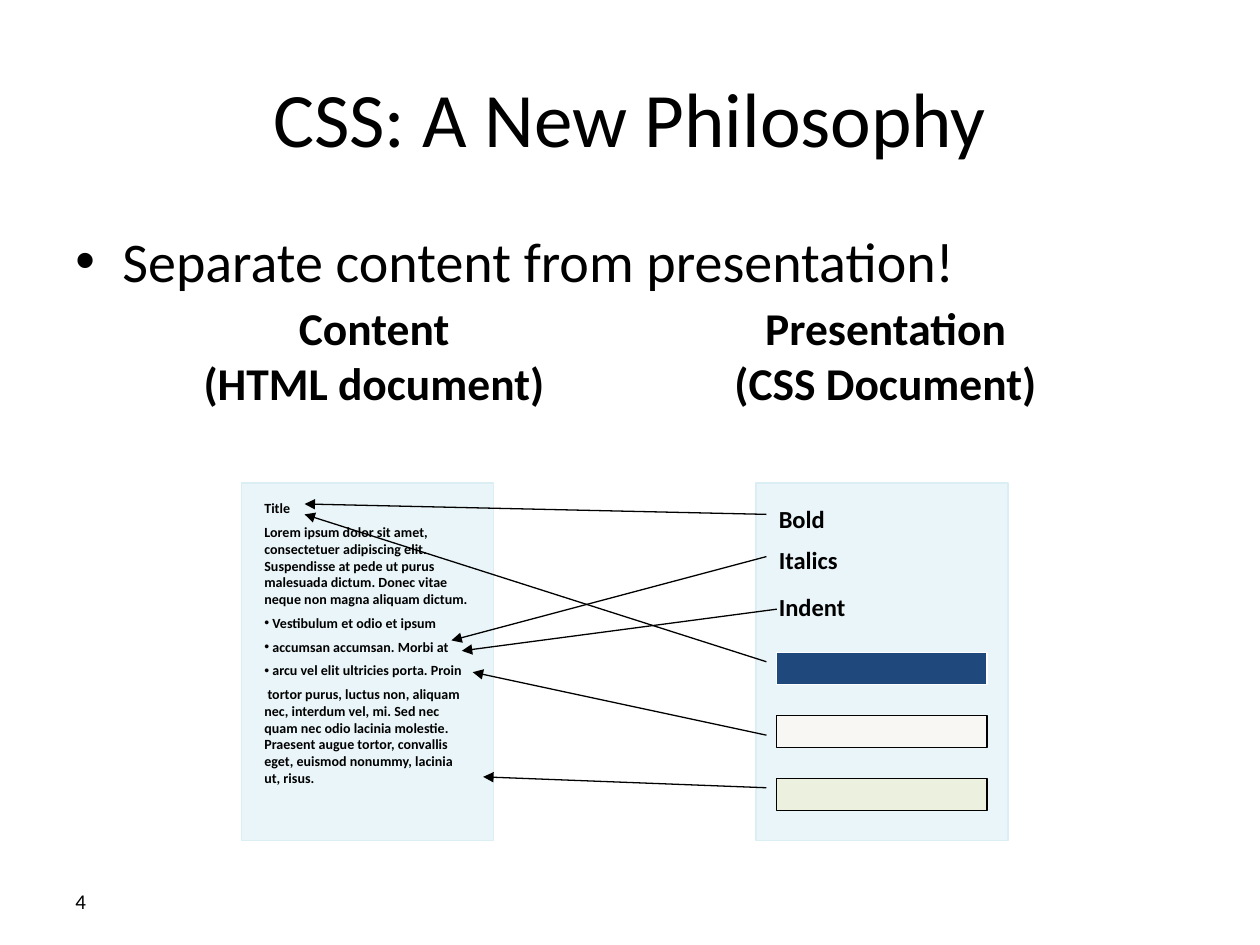
"""Build the slide that contrasts HTML content with CSS presentation."""
from dataclasses import dataclass

from lxml.etree import SubElement
from pptx import Presentation
from pptx.dml.color import RGBColor as Rgb
from pptx.enum.shapes import MSO_CONNECTOR as Connector, MSO_SHAPE as Shape
from pptx.enum.text import MSO_ANCHOR as Anchor, MSO_AUTO_SIZE as Fit, PP_ALIGN as Align
from pptx.oxml.ns import qn
from pptx.util import Cm, Pt


@dataclass(frozen=True)
class Theme:
    font: str = "Calibri"
    ink: str = "000000"
    white: str = "FFFFFF"
    page: str = "B7DEE8"
    page_edge: str = "DBEEF4"
    navy: str = "1F497D"
    cream: str = "F8F7F3"
    green: str = "EBF1DE"
    title: int = 44
    body: int = 32
    heading: int = 26
    label: int = 14
    note: int = 12
    sample: int = 8
    line: float = 0.75


theme = Theme()


def write(frame, lines, size, bold=False, align=Align.LEFT, anchor=Anchor.TOP,
          wrap=True, fit=Fit.NONE, before=0, bullets=(), indent=0):
    """Fill a text frame with one paragraph per line."""
    frame.word_wrap = wrap
    frame.auto_size = fit
    frame.vertical_anchor = anchor
    for index, line in enumerate(lines):
        paragraph = frame.paragraphs[0] if index == 0 else frame.add_paragraph()
        paragraph.alignment = align
        paragraph.space_before = Pt(before)
        run = paragraph.add_run()
        run.text = line
        run.font.name = theme.font
        run.font.size = Pt(size)
        run.font.bold = bold
        run.font.color.rgb = Rgb.from_string(theme.ink)
        if index in bullets:
            props = paragraph._p.get_or_add_pPr()
            props.set("marL", str(Cm(indent)))
            props.set("indent", str(-Cm(indent)))
            SubElement(props, qn("a:buFont")).set("typeface", "Arial")
            SubElement(props, qn("a:buChar")).set("char", "•")


def add_box(left, top, width, height, fill, edge):
    """Add a flat rectangle with a thin outline."""
    box = slide.shapes.add_shape(Shape.RECTANGLE, Cm(left), Cm(top), Cm(width), Cm(height))
    box.shadow.inherit = False
    box.fill.solid()
    box.fill.fore_color.rgb = Rgb.from_string(fill)
    box.line.color.rgb = Rgb.from_string(edge)
    box.line.width = Pt(theme.line)
    return box


deck = Presentation()
deck.slide_width, deck.slide_height = Cm(25.4), Cm(19.05)
slide = deck.slides.add_slide(deck.slide_layouts[5])
shapes = slide.shapes

title = shapes.title
title.left, title.top, title.width, title.height = Cm(1.27), Cm(0.76), Cm(22.86), Cm(3.18)
write(title.text_frame, ["CSS: A New Philosophy"], theme.title,
      align=Align.CENTER, anchor=Anchor.MIDDLE)

message = shapes.add_textbox(Cm(1.27), Cm(4.45), Cm(22.86), Cm(1.8))
write(message.text_frame, ["Separate content from presentation!"], theme.body,
      before=6.4, bullets=[0], indent=0.95)

page_number = shapes.add_textbox(Cm(1.27), Cm(17.65), Cm(5.92), Cm(1.02))
write(page_number.text_frame, ["4"], theme.note, anchor=Anchor.MIDDLE)

for page_left in (4.87, 15.24):
    page = add_box(page_left, 9.74, 5.08, 7.2, theme.page, theme.page_edge)
    page_color = page.fill._xPr.find(qn("a:solidFill"))[0]
    SubElement(page_color, qn("a:alpha")).set("val", "30000")

sample_lines = [
    "Title",
    "Lorem ipsum dolor sit amet, consectetuer adipiscing elit. Suspendisse at pede "
    "ut purus malesuada dictum. Donec vitae neque non magna aliquam dictum.",
    " Vestibulum et odio et ipsum",
    " accumsan accumsan. Morbi at",
    " arcu vel elit ultricies porta. Proin",
    " tortor purus, luctus non, aliquam nec, interdum vel, mi. Sed nec quam nec odio "
    "lacinia molestie. Praesent augue tortor, convallis eget, euismod nonummy, "
    "lacinia ut, risus.",
]
sample = shapes.add_textbox(Cm(5.08), Cm(9.95), Cm(4.66), Cm(6.25))
write(sample.text_frame, sample_lines, theme.sample, bold=True,
      fit=Fit.SHAPE_TO_FIT_TEXT, before=4, bullets=range(2, 5))

swatches = [(theme.navy, theme.white), (theme.cream, theme.ink), (theme.green, theme.ink)]
for row, (fill, edge) in enumerate(swatches):
    add_box(15.66, 13.16 + 1.27 * row, 4.24, 0.64, fill, edge)

for style, top, width in [("Bold", 10.03, 1.5), ("Italics", 10.87, 1.78), ("Indent", 11.8, 1.93)]:
    label = shapes.add_textbox(Cm(15.45), Cm(top), Cm(width), Cm(0.85))
    write(label.text_frame, [style], theme.label, bold=True, wrap=False,
          fit=Fit.SHAPE_TO_FIT_TEXT)

headings = [
    (3.81, 7.47, ["Content", "(HTML document)"]),
    (14.53, 6.65, ["Presentation", "(CSS Document)"]),
]
for left, width, lines in headings:
    heading = shapes.add_textbox(Cm(left), Cm(5.93), Cm(width), Cm(2.49))
    write(heading.text_frame, lines, theme.heading, bold=True, align=Align.CENTER,
          wrap=False, fit=Fit.SHAPE_TO_FIT_TEXT)

style_links = [
    (15.45, 10.37, 6.14, 10.16),
    (15.45, 11.22, 9.1, 12.91),
    (15.66, 12.28, 9.31, 13.12),
    (15.45, 13.34, 6.14, 10.37),
    (15.45, 14.82, 9.53, 13.55),
    (15.45, 15.88, 9.74, 15.66),
]
for ends in style_links:
    link = shapes.add_connector(Connector.STRAIGHT, *map(Cm, ends))
    link.line.color.rgb = Rgb.from_string(theme.ink)
    link.line.width = Pt(theme.line)
    SubElement(link.line._get_or_add_ln(), qn("a:tailEnd")).set("type", "triangle")
    SubElement(link._element.spPr, qn("a:effectLst"))

deck.save("out.pptx")
